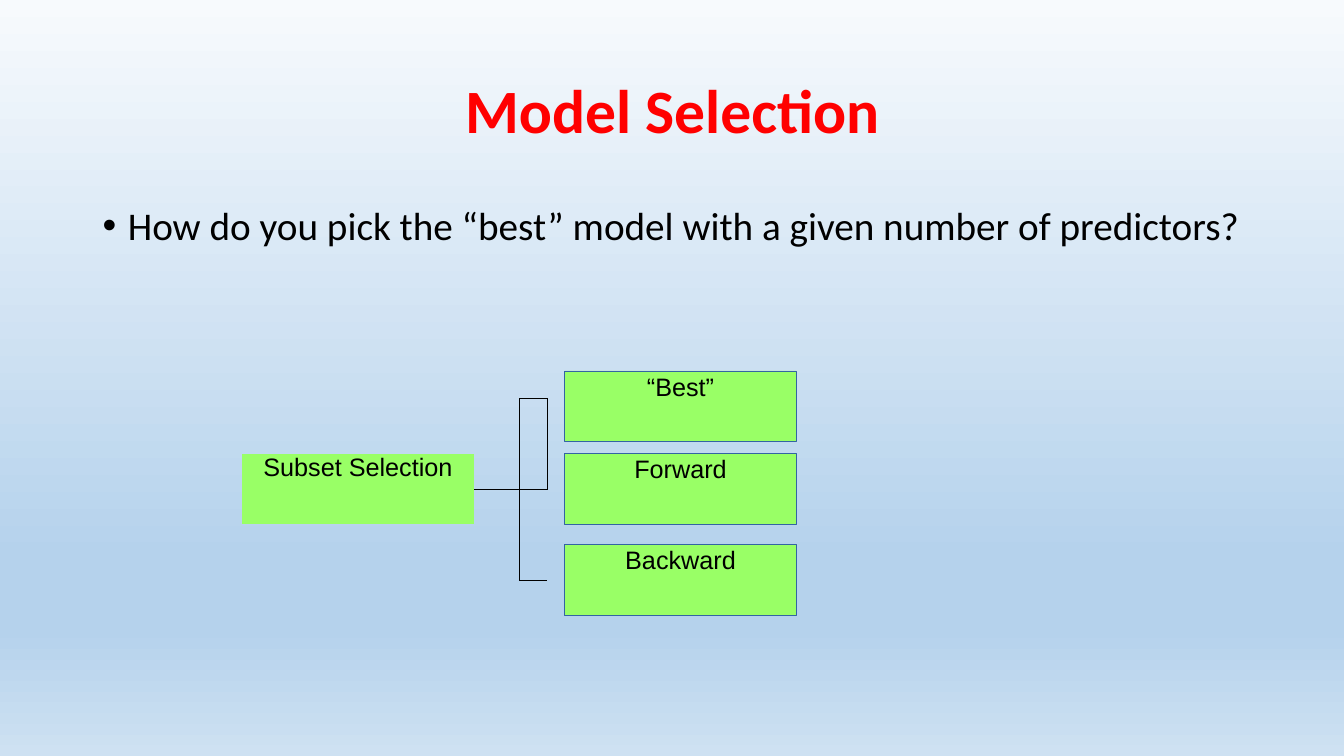
from lxml import etree
from pptx import Presentation
from pptx.dml.color import RGBColor
from pptx.enum.shapes import MSO_SHAPE
from pptx.enum.text import MSO_ANCHOR, PP_ALIGN
from pptx.oxml.ns import qn
from pptx.util import Inches, Pt

RECTANGLE = MSO_SHAPE.RECTANGLE
CENTER, LEFT = PP_ALIGN.CENTER, PP_ALIGN.LEFT
TOP, MIDDLE = MSO_ANCHOR.TOP, MSO_ANCHOR.MIDDLE
COLORS = {"title": "FF0000", "text": "000000", "box": "99FF66", "outline": "3364A3"}
BACKGROUND_STOPS = [(0, "F7FAFD"), (74, "B5D2EC"), (83, "B5D2EC"), (100, "CEE1F2")]
PLAIN_TABLE_STYLE = "{2D5ABB26-0587-4C30-8999-92F81FD0307C}"
SIDES = {"l": "a:lnL", "r": "a:lnR", "t": "a:lnT", "b": "a:lnB"}
METHODS = [("“Best”", 3.68), ("Forward", 4.5), ("Backward", 5.4)]
MERGES = [((0, 0), (0, 1)), ((0, 2), (1, 2)), ((1, 0), (2, 0)),
          ((2, 2), (3, 2)), ((3, 0), (3, 1))]
BRANCH_BORDERS = {(0, 0): "r", (0, 1): "r", (0, 2): "ltrb", (1, 1): "rb", (1, 2): "lrb",
                  (2, 1): "trb", (2, 2): "ltb", (3, 0): "r", (3, 1): "r", (3, 2): "lb"}


def paint_background(page):
    """Fill the page with the vertical blue gradient."""
    fill = page.background.fill
    fill.gradient()
    fill.gradient_angle = 270
    stops = next(page.element.iter(qn("a:gsLst")))
    for stop in list(stops):
        stops.remove(stop)
    for percent, color in BACKGROUND_STOPS:
        stop = etree.SubElement(stops, qn("a:gs"), pos=str(percent * 1000))
        etree.SubElement(stop, qn("a:srgbClr"), val=color)


def write_text(frame, text, font, size, color="text", align=CENTER, bold=False):
    """Write one formatted paragraph and return it."""
    frame.text = text
    para = frame.paragraphs[0]
    para.alignment = align
    for span in para.runs:
        span.font.name = font
        span.font.size = Pt(size)
        span.font.bold = bold
        span.font.color.rgb = RGBColor.from_string(COLORS[color])
    return para


def add_text(page, top, height, anchor, text, size, **style):
    """Add a wide Calibri text box and return its paragraph."""
    box = page.shapes.add_textbox(Inches(0.92), Inches(top), Inches(11.5), Inches(height))
    box.text_frame.word_wrap = True
    box.text_frame.vertical_anchor = anchor
    para = write_text(box.text_frame, text, "Calibri", size, **style)
    para.line_spacing = 0.9
    return para


def add_bullet(para):
    """Give the paragraph a round bullet with a hanging indent."""
    properties = para._p.get_or_add_pPr()
    properties.set("marL", str(Inches(0.25)))
    properties.set("indent", str(-Inches(0.25)))
    etree.SubElement(properties, qn("a:buFont"), typeface="Arial")
    etree.SubElement(properties, qn("a:buChar"), char="•")


def clear_margins(holder):
    """Remove the text insets of a cell or text frame."""
    holder.margin_left = holder.margin_right = 0
    holder.margin_top = holder.margin_bottom = 0


def add_method(page, text, top):
    """Add one green method box."""
    box = page.shapes.add_shape(RECTANGLE, Inches(5.6), Inches(top), Inches(2.3), Inches(0.7))
    box.shadow.inherit = False
    box.fill.solid()
    box.fill.fore_color.rgb = RGBColor.from_string(COLORS["box"])
    box.line.color.rgb = RGBColor.from_string(COLORS["outline"])
    box.line.width = Pt(0.25)
    clear_margins(box.text_frame)
    box.text_frame.vertical_anchor = TOP
    write_text(box.text_frame, text, "Arial", 18)


def set_borders(cell, shown):
    """Draw the named sides of a cell and hide the others."""
    properties = cell._tc.get_or_add_tcPr()
    for index, (side, tag) in enumerate(SIDES.items()):
        line = etree.Element(qn(tag), w=str(Pt(0.1)))
        properties.insert(index, line)
        if side in shown:
            fill = etree.SubElement(line, qn("a:solidFill"))
            etree.SubElement(fill, qn("a:srgbClr"), val=COLORS["text"])
        else:
            etree.SubElement(line, qn("a:noFill"))


def add_branch_table(page):
    """Add the table that holds the root label and the branch lines."""
    frame = page.shapes.add_table(4, 3, Inches(2.4), Inches(3.95), Inches(3.03), Inches(1.8))
    table = frame.table
    table.first_row = table.horz_banding = False
    next(table._tbl.iter(qn("a:tableStyleId"))).text = PLAIN_TABLE_STYLE
    for column, width in zip(table.columns, (2.3, 0.45, 0.28)):
        column.width = Inches(width)
    for row, height in zip(table.rows, (0.55, 0.35, 0.35, 0.55)):
        row.height = Inches(height)
    for row in range(4):
        for column in range(3):
            cell = table.cell(row, column)
            clear_margins(cell)
            cell.fill.background()
            set_borders(cell, BRANCH_BORDERS.get((row, column), ""))
    for first, last in MERGES:
        table.cell(*first).merge(table.cell(*last))
    root = table.cell(1, 0)
    root.fill.solid()
    root.fill.fore_color.rgb = RGBColor.from_string(COLORS["box"])
    write_text(root.text_frame, "Subset Selection", "Arial", 18)


def main():
    """Build and save the slide."""
    deck = Presentation()
    deck.slide_width, deck.slide_height = Inches(13.33), Inches(7.5)
    page = deck.slides.add_slide(deck.slide_layouts[6])
    paint_background(page)
    add_text(page, 0.4, 1.45, MIDDLE, "Model Selection", 44, color="title", bold=True)
    question = add_text(page, 2, 4.76, TOP,
                        "How do you pick the “best” model with a given number of predictors?",
                        28, align=LEFT)
    question.space_before = Pt(10)
    add_bullet(question)
    for text, top in METHODS:
        add_method(page, text, top)
    add_branch_table(page)
    deck.save("out.pptx")


if __name__ == "__main__":
    main()
